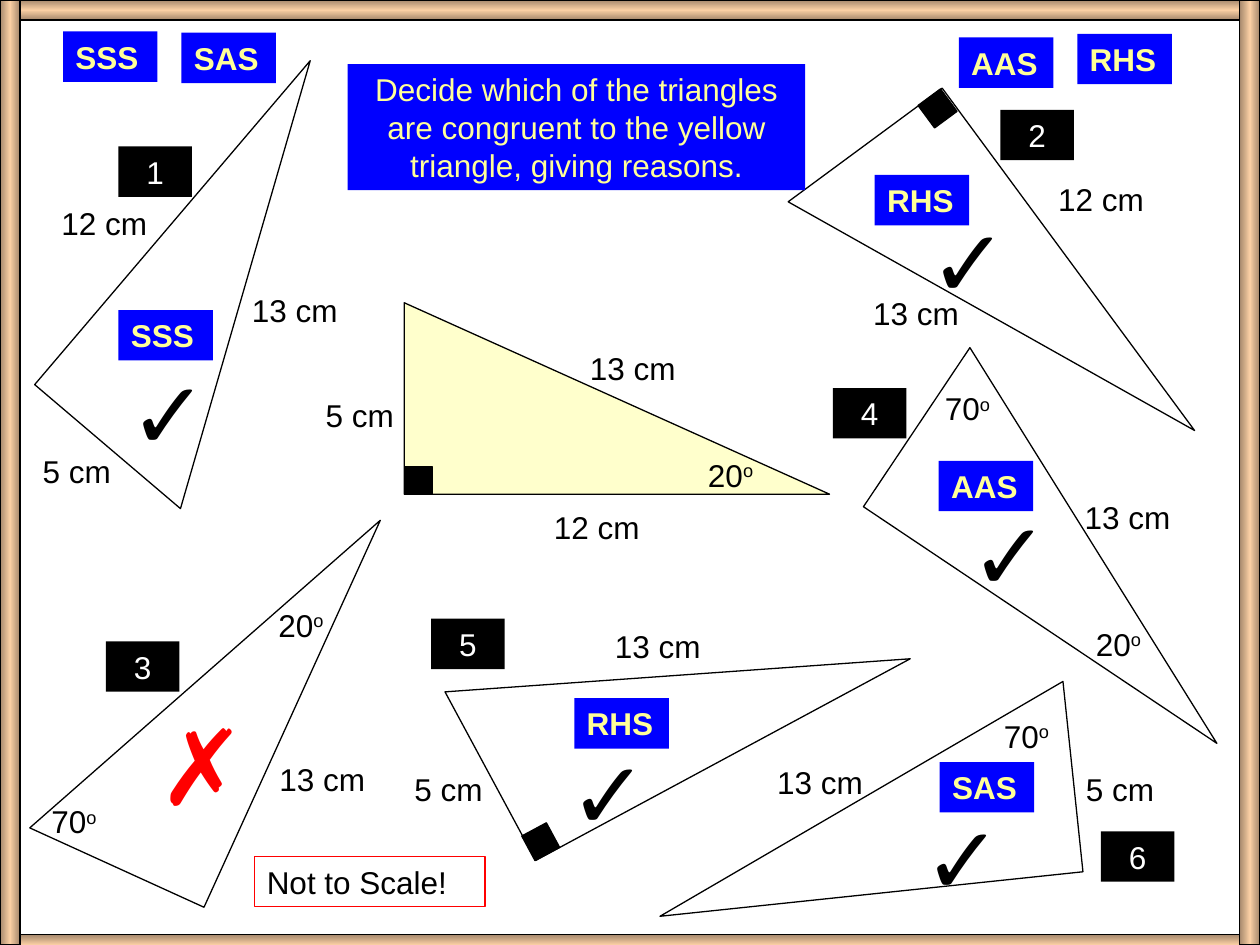
from copy import deepcopy
from dataclasses import dataclass

from pptx import Presentation
from pptx.dml.color import RGBColor as RGB
from pptx.enum.shapes import MSO_SHAPE as Preset
from pptx.enum.text import MSO_ANCHOR as Anchor
from pptx.enum.text import MSO_AUTO_SIZE as AutoSize
from pptx.enum.text import PP_ALIGN as Align
from pptx.oxml.ns import qn
from pptx.util import Pt


@dataclass(frozen=True)
class Theme:
    font: str = "Arial"
    body: int = 18
    tick: int = 54
    cross: int = 60
    hairline: float = 0.75
    black: RGB = RGB(0, 0, 0)
    white: RGB = RGB(255, 255, 255)
    red: RGB = RGB(255, 0, 0)
    blue: RGB = RGB(0, 0, 255)
    lemon: RGB = RGB(255, 255, 153)
    cream: RGB = RGB(255, 255, 204)
    wood_dark: RGB = RGB(165, 136, 108)
    wood_light: RGB = RGB(250, 207, 164)


THEME = Theme()
WIDTH, HEIGHT = 720, 540
LINE_HEIGHT = 28.8
TRIANGLE = (243, 109.4)
CORNER = 16
RAIL = 11.5
LABEL_WIDTHS = {"5 cm": 63, "12 cm": 72, "13 cm": 76, "20°": 47, "70°": 47}


def add_box(shapes, preset, left, top, width, height, fill=None, line=None):
    shape = shapes.add_shape(preset, Pt(left), Pt(top), Pt(width), Pt(height))
    shape.shadow.inherit = False
    if fill is None:
        shape.fill.background()
    else:
        shape.fill.solid()
        shape.fill.fore_color.rgb = fill
    if line is None:
        shape.line.fill.background()
    else:
        shape.line.color.rgb = line
        shape.line.width = Pt(THEME.hairline)
    return shape


def write(shape, text, color, size=THEME.body, bold=False, align=Align.LEFT):
    """Fill a shape with text; a degree sign becomes a raised letter o."""
    frame = shape.text_frame
    frame.word_wrap = True
    frame.auto_size = AutoSize.SHAPE_TO_FIT_TEXT
    frame.vertical_anchor = Anchor.TOP
    paragraph = frame.paragraphs[0]
    paragraph.text = text.rstrip("°")
    paragraph.alignment = align
    if text.endswith("°"):
        degree = paragraph.add_run()
        degree.text = "o"
        degree.font._element.set("baseline", "30000")
    for run in paragraph.runs:
        run.font.name = THEME.font
        run.font.size = Pt(size)
        run.font.bold = bold
        run.font.color.rgb = color


def add_label(shapes, text, left, top):
    box = shapes.add_textbox(Pt(left), Pt(top), Pt(LABEL_WIDTHS[text]), Pt(LINE_HEIGHT))
    write(box, text, THEME.black)


def add_mark(shapes, text, left, top, width, height, color, size):
    box = shapes.add_textbox(Pt(left), Pt(top), Pt(width), Pt(height))
    write(box, text, color, size)


def add_reason(shapes, text, left, top):
    badge = add_box(shapes, Preset.RECTANGLE, left, top, 54, LINE_HEIGHT, THEME.blue)
    write(badge, text, THEME.lemon, bold=True)


def add_number(shapes, number, left, top):
    badge = add_box(shapes, Preset.RECTANGLE, left, top, 42, LINE_HEIGHT, THEME.black)
    write(badge, str(number), THEME.white, align=Align.CENTER)


def add_verdict(slide, reason, reason_at, tick_at):
    """Group a tick with the reason for congruence."""
    shapes = slide.shapes.add_group_shape().shapes
    add_mark(shapes, "✓", *tick_at, 70.6, 72, THEME.black, THEME.tick)
    add_reason(shapes, reason, *reason_at)


def add_triangle(shapes, left, top, rotation=0, flip=False, fill=THEME.white,
                 corner=None, labels=()):
    """Add a right triangle, its right-angle mark at corner, and its labels."""
    parts = [add_box(shapes, Preset.RIGHT_TRIANGLE, left, top, *TRIANGLE, fill, THEME.black)]
    if corner:
        parts.append(add_box(shapes, Preset.RECTANGLE, *corner, CORNER, CORNER,
                             THEME.black, THEME.black))
    for part in parts:
        part.rotation = rotation
        if flip:
            part._element.spPr.find(qn("a:xfrm")).set("flipV", "1")
    for label in labels:
        add_label(shapes, *label)


def add_rail(shapes, left, top, width, height):
    """Add one wooden edge, shaded across its thickness."""
    rail = add_box(shapes, Preset.RECTANGLE, left, top, width, height, line=THEME.black)
    rail.fill.gradient()
    rail.fill.gradient_angle = 90 if width > height else 0
    for stop in rail.fill.gradient_stops:
        stop.color.rgb = THEME.wood_dark
    stops = rail._element.spPr.find(qn("a:gradFill")).find(qn("a:gsLst"))
    stops.insert(1, deepcopy(stops[0]))
    middle = rail.fill.gradient_stops[1]
    middle.position = 0.5
    middle.color.rgb = THEME.wood_light


def add_triangles(slide):
    shapes = slide.shapes

    def new_group():
        return shapes.add_group_shape().shapes

    add_triangle(new_group(), 231, 173, fill=THEME.cream, corner=(231, 266.4))
    for label in (("5 cm", 179, 222.5), ("12 cm", 309.5, 286.5),
                  ("13 cm", 330, 196), ("20°", 397.5, 257)):
        add_label(shapes, *label)
    add_triangle(new_group(), 445, 126, 53.6, True, corner=(527.8, 54))
    add_triangle(shapes, -4.3, 330.5, 294.5, labels=(
        ("13 cm", 152.6, 430.5), ("20°", 152, 342.7), ("70°", 22.3, 455),
        ("13 cm", 491.8, 164.2), ("12 cm", 597.6, 99.4)))
    add_triangle(new_group(), 18.7, 108, 310.4, True, labels=(
        ("13 cm", 136.8, 162.7), ("12 cm", 28, 113), ("5 cm", 17.3, 254.9)))
    add_triangle(new_group(), 265.7, 331.2, 331.7, corner=(301, 473), labels=(
        ("5 cm", 229.7, 436.3), ("13 cm", 344.2, 355)))
    add_triangle(new_group(), 370.8, 401.8, 174, True, labels=(
        ("5 cm", 613.4, 436.3), ("13 cm", 437, 432.7), ("70°", 566.6, 406)))
    add_triangle(new_group(), 503.3, 257, 33.8, labels=(
        ("13 cm", 612.7, 280.8), ("70°", 532.8, 218.9), ("20°", 619.2, 353.5)))


def main():
    presentation = Presentation()
    presentation.slide_width, presentation.slide_height = Pt(WIDTH), Pt(HEIGHT)
    slide = presentation.slides.add_slide(presentation.slide_layouts[6])
    shapes = slide.shapes

    add_triangles(slide)

    title = add_box(shapes, Preset.RECTANGLE, 198.7, 36.7, 261.4, 72, THEME.blue)
    write(title, "Decide which of the triangles are congruent to the yellow "
          "triangle, giving reasons.", THEME.lemon, align=Align.CENTER)
    for reason in (("SSS", 36, 18), ("SAS", 103.7, 18.7),
                   ("AAS", 547.9, 21.4), ("RHS", 615.6, 19.4)):
        add_reason(shapes, *reason)

    for top in (0, 534.2):
        add_rail(shapes, 0, top, WIDTH, RAIL)
    for left in (0, WIDTH - RAIL):
        add_rail(shapes, left, 0, RAIL, HEIGHT)

    number_spots = ((67.7, 83.7), (571.7, 62.8), (60.5, 366.5),
                    (475.9, 221.8), (246.4, 353.6), (629.1, 475.1))
    for number, spot in enumerate(number_spots, start=1):
        add_number(shapes, number, *spot)

    note = add_box(shapes, Preset.RECTANGLE, 145.4, 489.4, 131.8, LINE_HEIGHT, line=THEME.red)
    write(note, "Not to Scale!", THEME.black)

    add_verdict(slide, "RHS", (499.8, 100), (524.2, 112.3))
    add_verdict(slide, "SSS", (67.7, 177.2), (67, 199.4))
    add_mark(shapes, "✗", 83.5, 396.7, 61.2, 79.2, THEME.red, THEME.cross)
    add_verdict(slide, "RHS", (328.2, 399), (318.2, 416.2))
    add_verdict(slide, "AAS", (536.4, 263.4), (547.2, 280))
    add_verdict(slide, "SAS", (537, 435.5), (520.6, 453.6))

    presentation.save("out.pptx")


if __name__ == "__main__":
    main()
